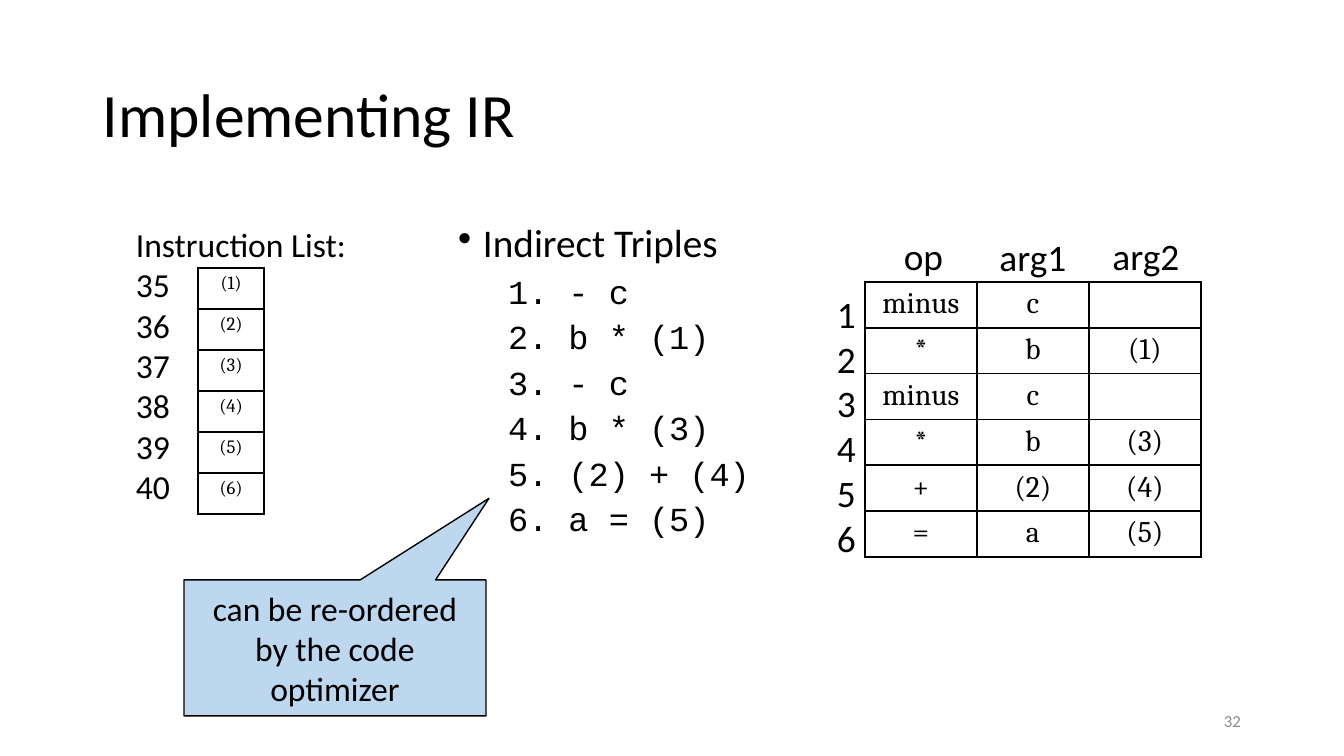
"""Build the "Implementing IR" slide on indirect triples."""
from lxml import etree
from pptx import Presentation
from pptx.dml.color import RGBColor
from pptx.enum.shapes import MSO_SHAPE
from pptx.enum.text import MSO_ANCHOR, PP_ALIGN
from pptx.oxml.ns import qn
from pptx.util import Emu, Pt

BLACK = RGBColor(0x00, 0x00, 0x00)
GRAY = RGBColor(0x8C, 0x8C, 0x8C)
LIGHT_BLUE = RGBColor(0xBD, 0xD7, 0xEE)
LEFT, CENTER, RIGHT = PP_ALIGN.LEFT, PP_ALIGN.CENTER, PP_ALIGN.RIGHT
TOP, MIDDLE = MSO_ANCHOR.TOP, MSO_ANCHOR.MIDDLE
CALLOUT = MSO_SHAPE.RECTANGULAR_CALLOUT

PX = 914400 / 134.4
WIDE, NARROW = (13, 7), (10, 5)

TRIPLES = [
    ("minus", "c", ""),
    ("*", "b", "(1)"),
    ("minus", "c", ""),
    ("*", "b", "(3)"),
    ("+", "(2)", "(4)"),
    ("=", "a", "(5)"),
]
CODE = [" - c", " b * (1)", " - c", " b * (3)", " (2) + (4)", " a = (5)"]


def px(n):
    return Emu(round(n * PX))


def box(*lengths):
    return [px(n) for n in lengths]


def style(p, size, font="Calibri", color=BLACK, align=LEFT):
    p.alignment = align
    for r in p.runs:
        r.font.size = Pt(size)
        r.font.name = font
        r.font.color.rgb = color


def set_margins(item, insets):
    item.margin_left = item.margin_right = px(insets[0])
    item.margin_top = item.margin_bottom = px(insets[1])


def fill_frame(tf, lines, size, insets=WIDE, anchor=TOP, wrap=True, **look):
    set_margins(tf, insets)
    tf.word_wrap = wrap
    tf.vertical_anchor = anchor
    tf.text = "\n".join(lines)
    for p in tf.paragraphs:
        style(p, size, **look)


def add_text(s, at, lines, size, **look):
    sp = s.shapes.add_textbox(*box(*at))
    fill_frame(sp.text_frame, lines, size, **look)
    return sp.text_frame


def set_bullet(p, tag, left, hanging, **attrs):
    pPr = p._p.get_or_add_pPr()
    pPr.set("marL", str(px(left)))
    pPr.set("indent", str(-px(hanging)))
    etree.SubElement(pPr, qn(tag), attrs)


def add_triple_list(s, at):
    tf = add_text(s, at, ["Indirect Triples"] + CODE, 21, insets=NARROW)
    heading, *steps = tf.paragraphs
    set_bullet(heading, "a:buChar", 25, 25, char="•")
    heading.line_spacing = 0.9
    for p in steps:
        p.level = 1
        set_bullet(p, "a:buAutoNum", 75, 25, type="arabicPeriod")
        style(p, 18, "Courier New")
        p.line_spacing = 0.9
        p.space_before = Pt(4.9)


def set_borders(cell):
    tcPr = cell._tc.get_or_add_tcPr()
    for i, side in enumerate(("a:lnL", "a:lnR", "a:lnT", "a:lnB")):
        ln = etree.Element(qn(side), w=str(Pt(1)))
        fill = etree.SubElement(ln, qn("a:solidFill"))
        etree.SubElement(fill, qn("a:srgbClr"), val=str(BLACK))
        tcPr.insert(i, ln)


def add_grid(s, left, top, col_width, row_height, rows, size):
    cols = len(rows[0])
    at = box(left, top, col_width * cols, row_height * len(rows))
    table = s.shapes.add_table(len(rows), cols, *at).table
    table.first_row = table.horz_banding = False
    for row, values in zip(table.rows, rows):
        row.height = px(row_height)
        for cell, value in zip(row.cells, values):
            set_margins(cell, NARROW)
            cell.fill.background()
            set_borders(cell)
            p = cell.text_frame.paragraphs[0]
            p.text = value
            style(p, size, "Cambria", align=CENTER)
            p._p.get_or_add_endParaRPr().set("sz", str(size * 100))
    for col in table.columns:
        col.width = px(col_width)


def add_callout(s, at, text):
    sp = s.shapes.add_shape(CALLOUT, *box(*at))
    sp.adjustments[0], sp.adjustments[1] = 0.51, -1.1
    sp.shadow.inherit = False
    sp.fill.solid()
    sp.fill.fore_color.rgb = LIGHT_BLUE
    sp.line.color.rgb = BLACK
    sp.line.width = Pt(0.75)
    fill_frame(sp.text_frame, [text], 18, anchor=MIDDLE, align=CENTER)


def main():
    prs = Presentation()
    prs.slide_width, prs.slide_height = box(1344, 756)
    s = prs.slides.add_slide(prs.slide_layouts[6])

    add_text(s, (93, 40, 1159, 146), ["Implementing IR"], 33,
             insets=NARROW, anchor=MIDDLE)
    add_grid(s, 865, 282, 112, 45, TRIPLES, 16)
    add_triple_list(s, (448, 219, 571, 480))

    addresses = [str(n) for n in range(35, 41)]
    add_text(s, (126, 219, 280, 298), ["Instruction List:"] + addresses, 18,
             insets=NARROW)
    add_callout(s, (184, 580, 302, 136),
                "can be re-ordered by the code optimizer")

    headers = [("op", 890, 226, 67), ("arg1", 986, 227, 94),
               ("arg2", 1099, 226, 94)]
    for name, left, top, width in headers:
        add_text(s, (left, top, width, 59), [name], 20,
                 wrap=False, align=CENTER)

    numbers = [str(n) for n in range(1, 7)]
    add_text(s, (824, 284, 185, 285), numbers, 20)
    add_grid(s, 198, 268, 66, 41, [(f"({n})",) for n in numbers], 10)
    add_text(s, (949, 701, 302, 40), ["32"], 9, insets=NARROW,
             anchor=MIDDLE, color=GRAY, align=RIGHT)

    prs.save("out.pptx")


if __name__ == "__main__":
    main()
